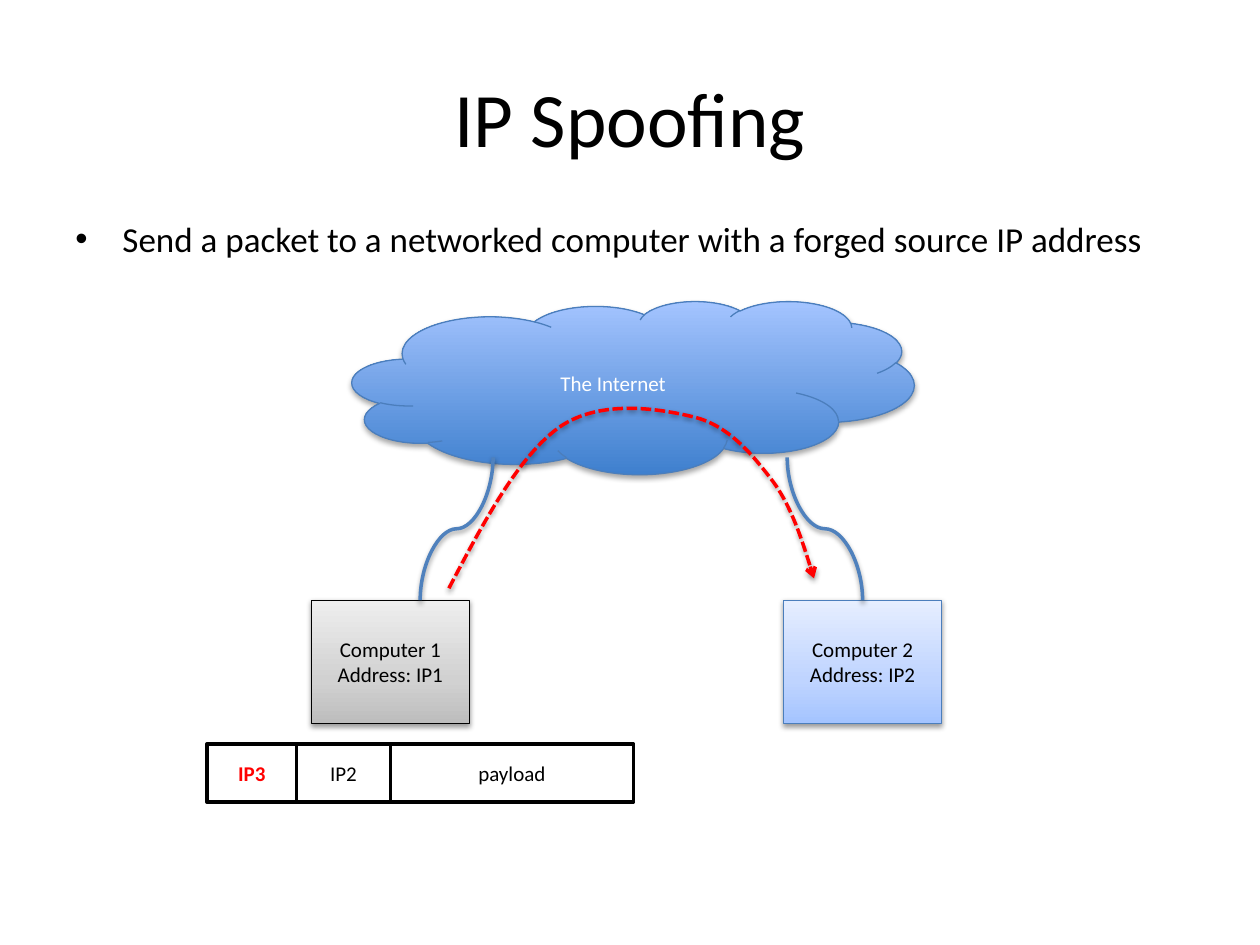
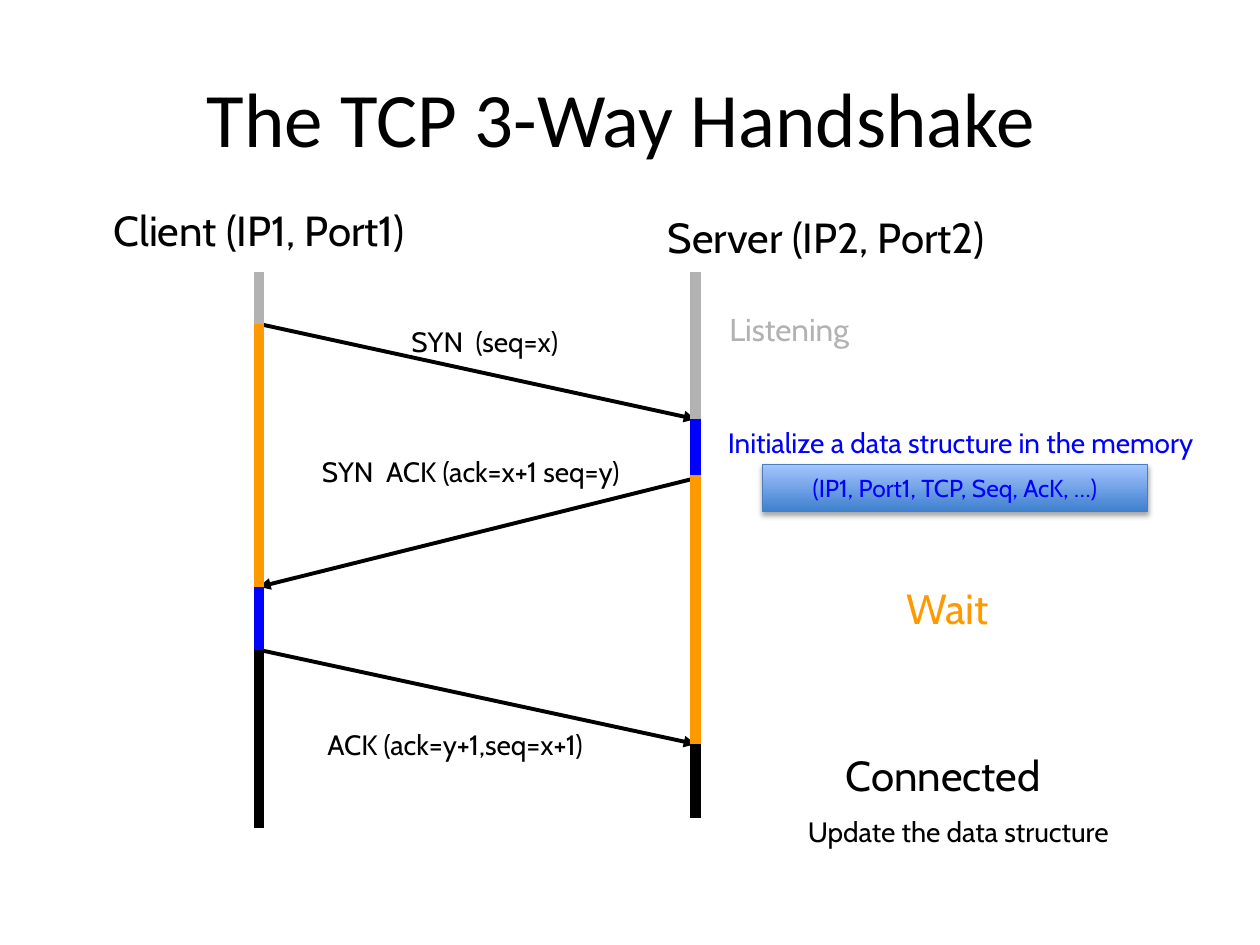
from lxml import etree
from pptx import Presentation
from pptx.dml.color import RGBColor
from pptx.enum.dml import MSO_LINE
from pptx.enum.shapes import MSO_CONNECTOR, MSO_SHAPE
from pptx.enum.text import MSO_ANCHOR, PP_ALIGN
from pptx.oxml.ns import qn
from pptx.util import Cm, Pt

RECTANGLE, CLOUD = MSO_SHAPE.RECTANGLE, MSO_SHAPE.CLOUD
STRAIGHT, CURVE = MSO_CONNECTOR.STRAIGHT, MSO_CONNECTOR.CURVE
LEFT, CENTER = PP_ALIGN.LEFT, PP_ALIGN.CENTER
TOP, MIDDLE = MSO_ANCHOR.TOP, MSO_ANCHOR.MIDDLE
DASHED = MSO_LINE.SQUARE_DOT

BLACK = RGBColor(0x00, 0x00, 0x00)
WHITE = RGBColor(0xFF, 0xFF, 0xFF)
RED = RGBColor(0xFF, 0x00, 0x00)
BLUE = RGBColor(0x00, 0x00, 0xFF)
ORANGE = RGBColor(0xFF, 0x99, 0x00)
GREY = RGBColor(0xB2, 0xB2, 0xB2)
OUTLINE_BLUE = RGBColor(0x4B, 0x7E, 0xBC)
CABLE_BLUE = RGBColor(0x4F, 0x81, 0xBD)

# Gradient stops run from the bottom edge to the top: (percent, colour)
GREY_FADE = [(0, "BDBDBD"), (35, "D1D1D1"), (100, "EEEEEE")]
PALE_FADE = [(0, "A4C4FF"), (35, "BFD4FF"), (100, "E6EEFF")]
STRONG_FADE = [(0, "3F80CE"), (100, "A4C4FF")]

# Shadows: opacity in percent, distance in points
SOFT_SHADOW = (38, 1.6)
STRONG_SHADOW = (35, 1.8)

BODY_FONT, LABEL_FONT = "Calibri", "Cabin"
TITLE_PLACE = (1.27, 0.76, 22.86, 3.18)

# All places below are in centimetres
SPOOFING_TITLE = "IP Spoofing"
SPOOFING_POINT = "Send a packet to a networked computer with a forged source IP address"
POINT_PLACE, POINT_INDENT = (1.27, 4.25, 22.86, 1.52), 0.95
COMPUTER_TOP, COMPUTER_WIDTH, COMPUTER_HEIGHT = 12.1, 3.18, 2.49
COMPUTERS = [
    ("Computer 1\nAddress: IP1", 6.28, GREY_FADE, BLACK),
    ("Computer 2\nAddress: IP2", 15.8, PALE_FADE, OUTLINE_BLUE),
]
CLOUD_TEXT, CLOUD_PLACE = "The Internet", (7.1, 6.07, 11.33, 3.49)
CABLE_TOP = 9.22
CABLES = [(9.94, 8.47), (15.87, 17.39)]
ROUTE_START = (9.05, 11.86)
ROUTE_CURVES = [
    [(9.75, 10.52), (10.46, 9.19), (11.28, 8.61)],
    [(12.09, 8.05), (13.26, 8.23), (14.0, 8.41)],
    [(14.71, 8.59), (15.19, 9.19), (15.6, 9.73)],
    [(16.0, 10.29), (16.41, 11.66), (16.41, 11.66)],
]
PACKET_LEFT, PACKET_TOP, PACKET_HEIGHT = 4.17, 15.0, 1.17
PACKET_FIELDS = [
    ("IP3", 1.81, {"color": RED, "bold": True}),
    ("IP2", 1.89, {}),
    ("payload", 4.9, {}),
]

HANDSHAKE_TITLE = "The TCP 3-Way Handshake "
CLIENT_X, SERVER_X, LIFELINE_TOP = 5.22, 14.02, 5.48
MESSAGES = [
    (CLIENT_X, 6.53, SERVER_X, 8.45),
    (CLIENT_X, 13.1, SERVER_X, 15.0),
    (SERVER_X, 9.64, CLIENT_X, 11.83),
]
# Each state of a lifeline: colour and lower end
LIFELINES = {
    CLIENT_X: [(GREY, 6.53), (ORANGE, 11.83), (BLUE, 13.1), (BLACK, 16.69)],
    SERVER_X: [(GREY, 8.44), (BLUE, 9.57), (ORANGE, 15.0), (BLACK, 16.48)],
}
# Text, left, top, width, size, colour
LABELS = [
    ("Client (IP1, Port1)", 1.56, 3.99, 7.32, 24, BLACK),
    ("Server (IP2, Port2)", 12.85, 4.14, 7.62, 24, BLACK),
    ("SYN  (seq=x)", 6.75, 6.42, 6.05, 16, BLACK),
    ("SYN  ACK (ack=x+1 seq=y)", 5.72, 9.04, 7.54, 16, BLACK),
    ("ACK (ack=y+1,seq=x+1)", 5.72, 14.55, 6.91, 16, BLACK),
    ("Listening", 14.4, 6.12, 3.02, 18, GREY),
    ("Initialize a data structure in the memory ", 13.84, 8.46, 11.18, 16, BLUE),
    ("Wait", 18.01, 11.61, 2.18, 24, ORANGE),
    ("Connected", 16.79, 14.99, 4.45, 24, BLACK),
    ("Update the data structure", 14.38, 16.3, 9.88, 16, BLACK),
]
RECORD_TEXT = "(IP1, Port1, TCP, Seq, AcK, …)"
RECORD_PLACE = (15.37, 9.37, 7.77, 0.94)


def lengths(values):
    return [Cm(value) for value in values]


def add_element(parent, tag, **attributes):
    element = etree.SubElement(parent, qn(tag))
    for name, value in attributes.items():
        element.set(name, str(value))
    return element


def add_bullet(para):
    properties = para._p.get_or_add_pPr()
    properties.set("marL", str(Cm(POINT_INDENT)))
    properties.set("indent", str(-Cm(POINT_INDENT)))
    add_element(properties, "a:buFont", typeface="Arial")
    add_element(properties, "a:buChar", char="•")


def write(shape, text, size, color=BLACK, name=BODY_FONT, bold=False,
          align=CENTER, anchor=MIDDLE, wrap=True, bullet=False):
    frame = shape.text_frame
    frame.text = text
    frame.word_wrap = wrap
    frame.vertical_anchor = anchor
    for para in frame.paragraphs:
        para.alignment = align
        para.space_before = Pt(0)
        if bullet:
            add_bullet(para)
        for key, value in {"size": Pt(size), "name": name, "bold": bold}.items():
            setattr(para.font, key, value)
        para.font.color.rgb = color


def set_shadow(shape, shadow=None):
    """Replace the theme shadow by the given one, or by none."""
    properties = shape._element.spPr
    for effects in properties.findall(qn("a:effectLst")):
        properties.remove(effects)
    effects = add_element(properties, "a:effectLst")
    if shadow:
        opacity, distance = shadow
        outer = add_element(effects, "a:outerShdw", blurRad=Pt(3.1), dist=Pt(distance),
                            dir=5400000, rotWithShape=0)
        tone = add_element(outer, "a:srgbClr", val=BLACK)
        add_element(tone, "a:alpha", val=opacity * 1000)


def set_line(shape, color, width, shadow=None, head=None, dash=None):
    line = shape.line
    line.color.rgb = color
    line.width = Pt(width)
    if dash:
        line.dash_style = dash
    if head:
        add_element(line._get_or_add_ln(), "a:tailEnd", type=head)
    set_shadow(shape, shadow)


def set_gradient(shape, stops):
    shape.fill.gradient()
    shape.fill.gradient_angle = 90
    stop_list = shape._element.spPr.find(qn("a:gradFill")).find(qn("a:gsLst"))
    for stop in list(stop_list):
        stop_list.remove(stop)
    for percent, color in stops:
        stop = add_element(stop_list, "a:gs", pos=percent * 1000)
        add_element(stop, "a:srgbClr", val=color)


def add_panel(page, kind, place, fill, outline, width=0.75, shadow=None):
    """Add a shape whose fill is one colour or a list of gradient stops."""
    panel = page.shapes.add_shape(kind, *lengths(place))
    if isinstance(fill, list):
        set_gradient(panel, fill)
    else:
        panel.fill.solid()
        panel.fill.fore_color.rgb = fill
    set_line(panel, outline, width, shadow)
    return panel


def add_line(page, ends, color, width, head=None):
    line = page.shapes.add_connector(STRAIGHT, *lengths(ends))
    set_line(line, color, width, head=head)


def add_cable(page, x_top, x_bottom):
    """Draw an S-curve that leaves and arrives vertically: a turned connector."""
    side = 1 if x_bottom > x_top else -1
    middle_x, middle_y = (x_top + x_bottom) / 2, (CABLE_TOP + COMPUTER_TOP) / 2
    reach = side * (COMPUTER_TOP - CABLE_TOP) / 2
    rise = abs(x_bottom - x_top) / 2
    cable = page.shapes.add_connector(CURVE, *lengths(
        (middle_x + reach, middle_y - rise, middle_x - reach, middle_y + rise)))
    turn = 270 if side > 0 else 90
    cable._element.spPr.find(qn("a:xfrm")).set("rot", str(turn * 60000))
    set_line(cable, CABLE_BLUE, 2, SOFT_SHADOW)


def add_route(page):
    """Draw the dashed arrow: every three corners become one Bezier curve."""
    builder = page.shapes.build_freeform(*lengths(ROUTE_START))
    corners = [lengths(point) for curve in ROUTE_CURVES for point in curve]
    builder.add_line_segments(corners, close=False)
    route = builder.convert_to_shape()
    outline = next(route._element.iter(qn("a:path")))
    segments = outline.findall(qn("a:lnTo"))
    for first in range(0, len(segments), 3):
        curve = add_element(outline, "a:cubicBezTo")
        for segment in segments[first:first + 3]:
            curve.append(segment[0])
            outline.remove(segment)
    route.fill.background()
    set_line(route, RED, 2, SOFT_SHADOW, "arrow", DASHED)


def add_page(deck, title):
    page = deck.slides.add_slide(deck.slide_layouts[5])
    box = page.shapes.title
    box.left, box.top, box.width, box.height = lengths(TITLE_PLACE)
    write(box, title, 44)
    return page


def build_spoofing(deck):
    page = add_page(deck, SPOOFING_TITLE)
    point = page.shapes.add_textbox(*lengths(POINT_PLACE))
    write(point, SPOOFING_POINT, 20, align=LEFT, anchor=TOP, bullet=True)
    for text, left, fade, outline in COMPUTERS:
        place = (left, COMPUTER_TOP, COMPUTER_WIDTH, COMPUTER_HEIGHT)
        write(add_panel(page, RECTANGLE, place, fade, outline, shadow=SOFT_SHADOW), text, 12)
    cloud = add_panel(page, CLOUD, CLOUD_PLACE, STRONG_FADE, OUTLINE_BLUE,
                      shadow=STRONG_SHADOW)
    write(cloud, CLOUD_TEXT, 12, WHITE)
    for x_top, x_bottom in CABLES:
        add_cable(page, x_top, x_bottom)
    add_route(page)
    left = PACKET_LEFT
    for text, width, style in PACKET_FIELDS:
        place = (left, PACKET_TOP, width, PACKET_HEIGHT)
        write(add_panel(page, RECTANGLE, place, WHITE, BLACK, 2), text, 12, **style)
        left += width


def build_handshake(deck):
    page = add_page(deck, HANDSHAKE_TITLE)
    for ends in MESSAGES:
        add_line(page, ends, BLACK, 2.25, "triangle")
    for x, states in LIFELINES.items():
        top = LIFELINE_TOP
        for color, bottom in states:
            add_line(page, (x, top, x, bottom), color, 6)
            top = bottom
    record = add_panel(page, RECTANGLE, RECORD_PLACE, STRONG_FADE, OUTLINE_BLUE,
                       shadow=STRONG_SHADOW)
    write(record, RECORD_TEXT, 14, BLUE, LABEL_FONT)
    for text, left, top, width, size, color in LABELS:
        height = 0.28 + 0.04 * size
        box = page.shapes.add_textbox(*lengths((left, top, width, height)))
        write(box, text, size, color, LABEL_FONT, anchor=TOP, wrap=False)


def main():
    deck = Presentation()
    deck.slide_width, deck.slide_height = Cm(25.4), Cm(19.05)
    build_spoofing(deck)
    build_handshake(deck)
    deck.save("out.pptx")


if __name__ == "__main__":
    main()
